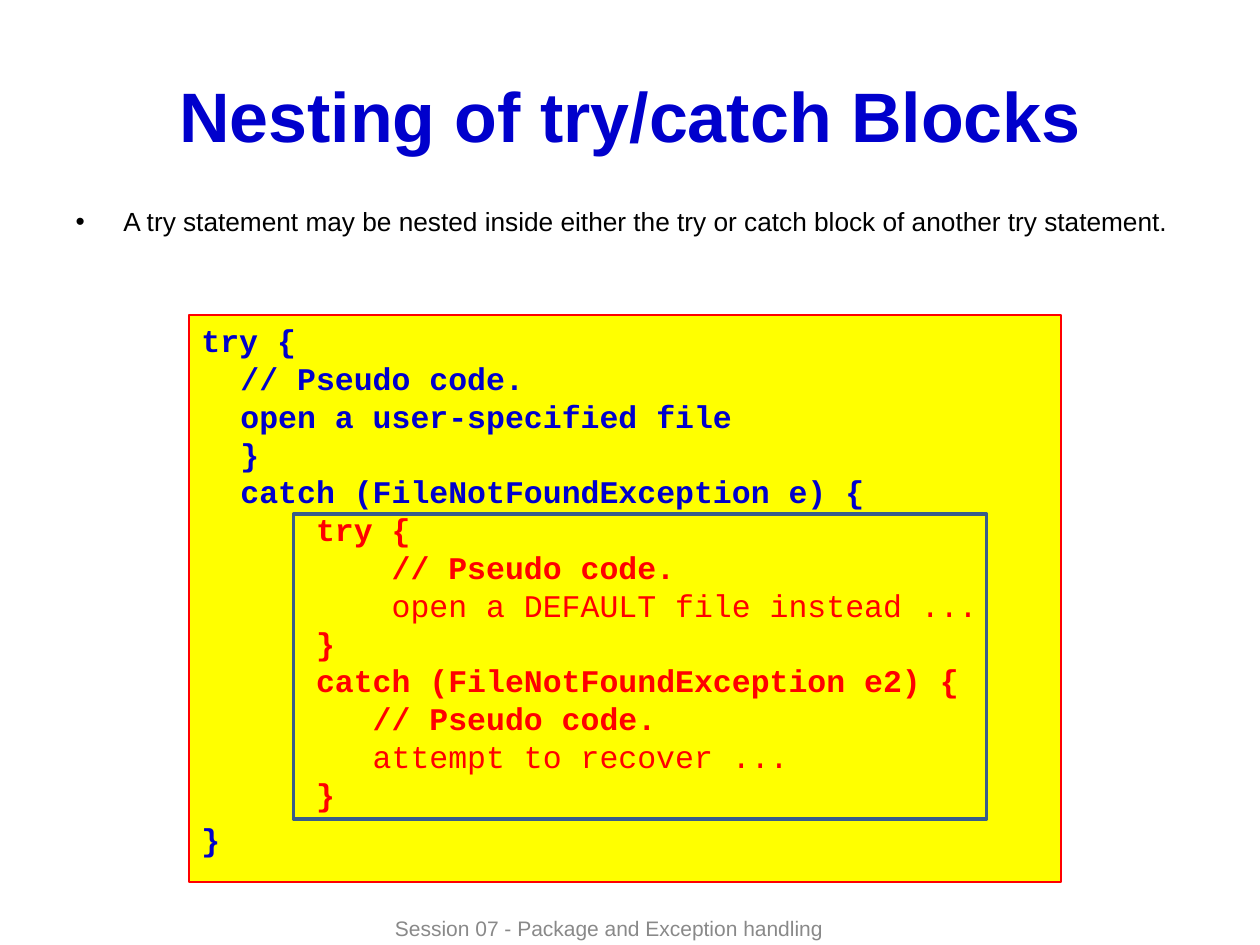
from dataclasses import dataclass

from pptx import Presentation
from pptx import util as u
from pptx.dml.color import RGBColor
from pptx.enum import shapes, text
from pptx.oxml import parse_xml
from pptx.oxml.ns import nsdecls

BLUE = RGBColor(0x00, 0x00, 0xCC)
RED = RGBColor(0xFF, 0x00, 0x00)
YELLOW = RGBColor(0xFF, 0xFF, 0x00)
BLACK = RGBColor(0x00, 0x00, 0x00)
GRAY = RGBColor(0x89, 0x89, 0x89)
STEEL = RGBColor(0x38, 0x5D, 0x8A)

HANGING = 0.31     # inches from the code margin to the outer statements
CHARACTER = 0.15   # inches per 18 pt Courier character


@dataclass(frozen=True)
class CodeLine:
    words: str
    columns: int = 0
    color: RGBColor = RED
    bold: bool = True
    hanging: float = HANGING
    before: float = 0


CODE = [
    CodeLine("try {", color=BLUE, hanging=0),
    CodeLine("// Pseudo code.", color=BLUE),
    CodeLine("open a user-specified file", color=BLUE),
    CodeLine("}", color=BLUE),
    CodeLine("catch (FileNotFoundException e) {", color=BLUE),
    CodeLine("try {", 4),
    CodeLine("// Pseudo code.", 8),
    CodeLine("open a DEFAULT file instead ...", 8, bold=False),
    CodeLine("}", 4),
    CodeLine("catch (FileNotFoundException e2) {", 4),
    CodeLine("// Pseudo code.", 7),
    CodeLine("attempt to recover ...", 7, bold=False),
    CodeLine("}", 4),
    CodeLine("}", color=BLUE, hanging=0, before=4.5),
]


def place(shape, left: float, top: float, width: float, height: float) -> None:
    shape.left, shape.top = u.Inches(left), u.Inches(top)
    shape.width, shape.height = u.Inches(width), u.Inches(height)


def add_span(para, words: str, size: float, color: RGBColor,
             bold: bool = False, font: str = "Arial") -> None:
    span = para.add_run()
    span.text = words
    span.font.name, span.font.size = font, u.Pt(size)
    span.font.bold, span.font.color.rgb = bold, color


def add_rectangle(group, left: float, top: float, width: float, height: float,
                  line: RGBColor, weight: float):
    box = group.shapes.add_shape(
        shapes.MSO_SHAPE.RECTANGLE, *map(u.Inches, (left, top, width, height)))
    box.shadow.inherit = False
    box.fill.background()
    box.line.color.rgb, box.line.width = line, u.Pt(weight)
    return box


def write_code(frame, lines: list[CodeLine]) -> None:
    frame.word_wrap = True
    frame.vertical_anchor = text.MSO_ANCHOR.TOP
    for index, line in enumerate(lines):
        para = frame.add_paragraph() if index else frame.paragraphs[0]
        para.alignment = text.PP_ALIGN.LEFT
        para.line_spacing = u.Pt(21.6)
        para.space_before = u.Pt(line.before)
        margin = line.hanging + line.columns * CHARACTER
        para._p.get_or_add_pPr().set("marL", str(u.Inches(margin)))
        add_span(para, line.words, 18, line.color, line.bold, "Courier New")


def set_bullet(para, indent: float) -> None:
    properties = para._p.get_or_add_pPr()
    properties.set("marL", str(u.Inches(indent)))
    properties.set("indent", str(-u.Inches(indent)))
    properties.append(parse_xml(f'<a:buFont {nsdecls("a")} typeface="Arial"/>'))
    properties.append(parse_xml(f'<a:buChar {nsdecls("a")} char="•"/>'))


def main() -> None:
    deck = Presentation()
    deck.slide_width, deck.slide_height = u.Inches(10), u.Inches(7.5)
    page = deck.slides.add_slide(deck.slide_layouts[1])

    title = page.shapes.title
    place(title, 0.5, 0.28, 9, 1.25)
    title.text_frame.vertical_anchor = text.MSO_ANCHOR.MIDDLE
    heading = title.text_frame.paragraphs[0]
    heading.alignment = text.PP_ALIGN.CENTER
    add_span(heading, "Nesting of try/catch Blocks", 40, BLUE, bold=True)

    body = page.placeholders[1]
    place(body, 0.5, 1.58, 9, 0.92)
    point = body.text_frame.paragraphs[0]
    point.space_before = u.Pt(6)
    set_bullet(point, 0.38)
    add_span(point, "A try statement may be nested inside either the try or "
                    "catch block of another try statement.", 15, BLACK)

    listing = page.shapes.add_group_shape()
    panel = add_rectangle(listing, 1.5, 2.5, 6.92, 4.5, RED, 0.75)
    panel.fill.solid()
    panel.fill.fore_color.rgb = YELLOW
    write_code(panel.text_frame, CODE)
    add_rectangle(listing, 2.33, 4.08, 5.5, 2.42, STEEL, 2)

    footer = page.shapes.add_textbox(
        *map(u.Inches, (1.92, 7.23, 5.83, 0.27)))
    footer.text_frame.word_wrap = True
    footer.text_frame.vertical_anchor = text.MSO_ANCHOR.MIDDLE
    session = footer.text_frame.paragraphs[0]
    session.alignment = text.PP_ALIGN.CENTER
    add_span(session, "Session 07 - Package and Exception handling", 12, GRAY)

    deck.save("out.pptx")


if __name__ == "__main__":
    main()
